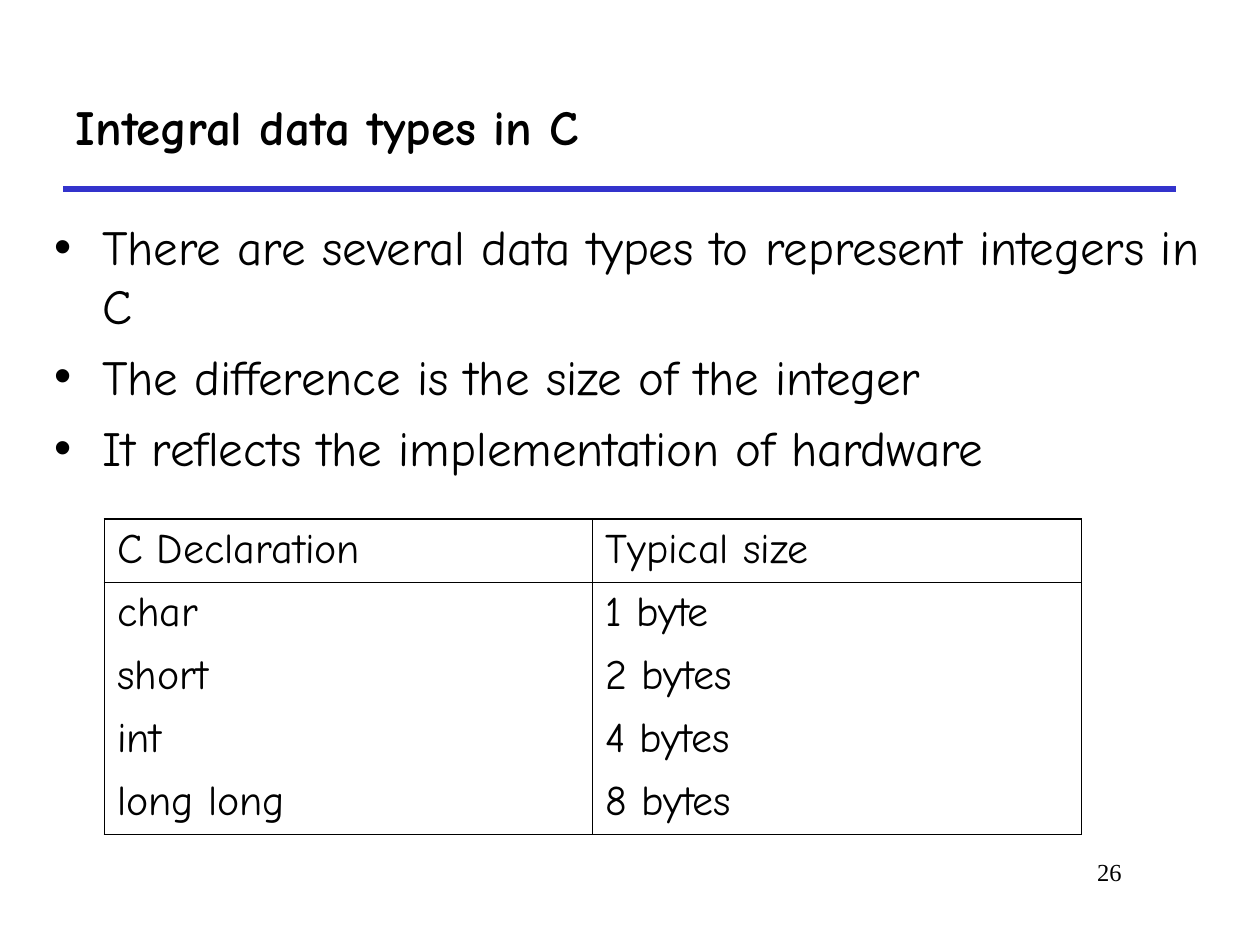
from lxml import etree
from pptx import Presentation
from pptx.dml.color import RGBColor
from pptx.enum.shapes import MSO_CONNECTOR
from pptx.enum.text import MSO_ANCHOR, MSO_AUTO_SIZE, PP_ALIGN
from pptx.oxml.ns import qn
from pptx.util import Inches, Pt

STRAIGHT = MSO_CONNECTOR.STRAIGHT
MIDDLE, TOP = MSO_ANCHOR.MIDDLE, MSO_ANCHOR.TOP
LEFT, RIGHT = PP_ALIGN.LEFT, PP_ALIGN.RIGHT
NO_FIT = MSO_AUTO_SIZE.NONE

WIDTH, HEIGHT = 10, 7.5
FONT = "Comic Neue"
BLACK, BLUE = "000000", "3333CC"
THICK, THIN = 1.08, 0.45

BULLETS = [
    "There are several data types to represent integers in C",
    "The difference is the size of the integer",
    "It reflects the implementation of hardware",
]
SIZES = [
    ("C Declaration", "Typical size"),
    ("char", "1 byte"),
    ("short", "2 bytes"),
    ("int", "4 bytes"),
    ("long long", "8 bytes"),
]


def color(value):
    """Turn a hex string into a colour."""
    return RGBColor.from_string(value)


def place(box, left, top, width, height):
    """Move and size a box, in inches."""
    box.left, box.top = Inches(left), Inches(top)
    box.width, box.height = Inches(width), Inches(height)


def style(para, size, name=FONT, bold=False, align=LEFT, before=0):
    """Set the font, alignment and leading space of a paragraph."""
    para.font.name, para.font.size, para.font.bold = name, Pt(size), bold
    para.font.color.rgb = color(BLACK)
    para.alignment = align
    para.space_before = Pt(before)


def fill_title(title, text):
    """Write the slide title."""
    place(title, 0.5, 0.5, 8.83, 1)
    frame = title.text_frame
    frame.text = text
    frame.vertical_anchor, frame.auto_size = MIDDLE, NO_FIT
    style(frame.paragraphs[0], 28, bold=True)


def fill_bullets(body, lines):
    """Write the bulleted list."""
    place(body, 0.33, 1.67, 9.33, 2.17)
    frame = body.text_frame
    frame.text = "\n".join(lines)
    frame.vertical_anchor, frame.auto_size = TOP, NO_FIT
    for para in frame.paragraphs:
        style(para, 28, before=7)
        props = para._p.get_or_add_pPr()
        props.set("marL", str(Inches(0.38)))
        props.set("indent", str(Inches(-0.38)))


def add_rule(page):
    """Draw the rule below the title."""
    rule = page.shapes.add_connector(
        STRAIGHT, Inches(0.5), Inches(1.5), Inches(9.33), Inches(1.5))
    rule.line.color.rgb = color(BLUE)
    rule.line.width = Pt(3)
    etree.SubElement(rule._element.spPr, qn("a:effectLst"))


def add_page_number(page, number):
    """Write the page number at the lower right."""
    box = page.shapes.add_textbox(0, 0, 0, 0)
    place(box, 7.58, 6.75, 1.42, 0.5)
    box.text_frame.word_wrap = True
    box.text_frame.text = number
    style(box.text_frame.paragraphs[0], 14, "Times New Roman", align=RIGHT)


def set_border(cell, side, width):
    """Draw one side of a cell, or hide it when the width is zero."""
    line = etree.SubElement(cell._tc.get_or_add_tcPr(), qn(f"a:ln{side}"))
    if not width:
        etree.SubElement(line, qn("a:noFill"))
        return
    line.set("w", str(Pt(width)))
    fill = etree.SubElement(line, qn("a:solidFill"))
    etree.SubElement(fill, qn("a:srgbClr"), val=BLACK)


def add_size_table(page, rows):
    """Add the table with a ruled header and an open body."""
    table = page.shapes.add_table(
        len(rows), 2, Inches(0.83), Inches(4.12),
        Inches(7.75), Inches(0.5 * len(rows))).table
    table.first_row = table.horz_banding = False
    last = len(rows) - 1
    for row, texts in enumerate(rows):
        for column, text in enumerate(texts):
            cell = table.cell(row, column)
            cell.text = text
            style(cell.text_frame.paragraphs[0], 24, before=6)
            set_border(cell, "L", THIN if column else THICK)
            set_border(cell, "R", THIN)
            set_border(cell, "T", {0: THICK, 1: THIN}.get(row, 0))
            set_border(cell, "B", {0: THIN, last: THICK}.get(row, 0))
            cell.fill.background()


def main():
    """Build and save the slide."""
    deck = Presentation()
    deck.slide_width, deck.slide_height = Inches(WIDTH), Inches(HEIGHT)
    page = deck.slides.add_slide(deck.slide_layouts[1])
    add_rule(page)
    add_page_number(page, "26")
    fill_title(page.shapes.title, "Integral data types in C")
    fill_bullets(page.placeholders[1], BULLETS)
    add_size_table(page, SIZES)
    deck.save("out.pptx")


if __name__ == "__main__":
    main()
